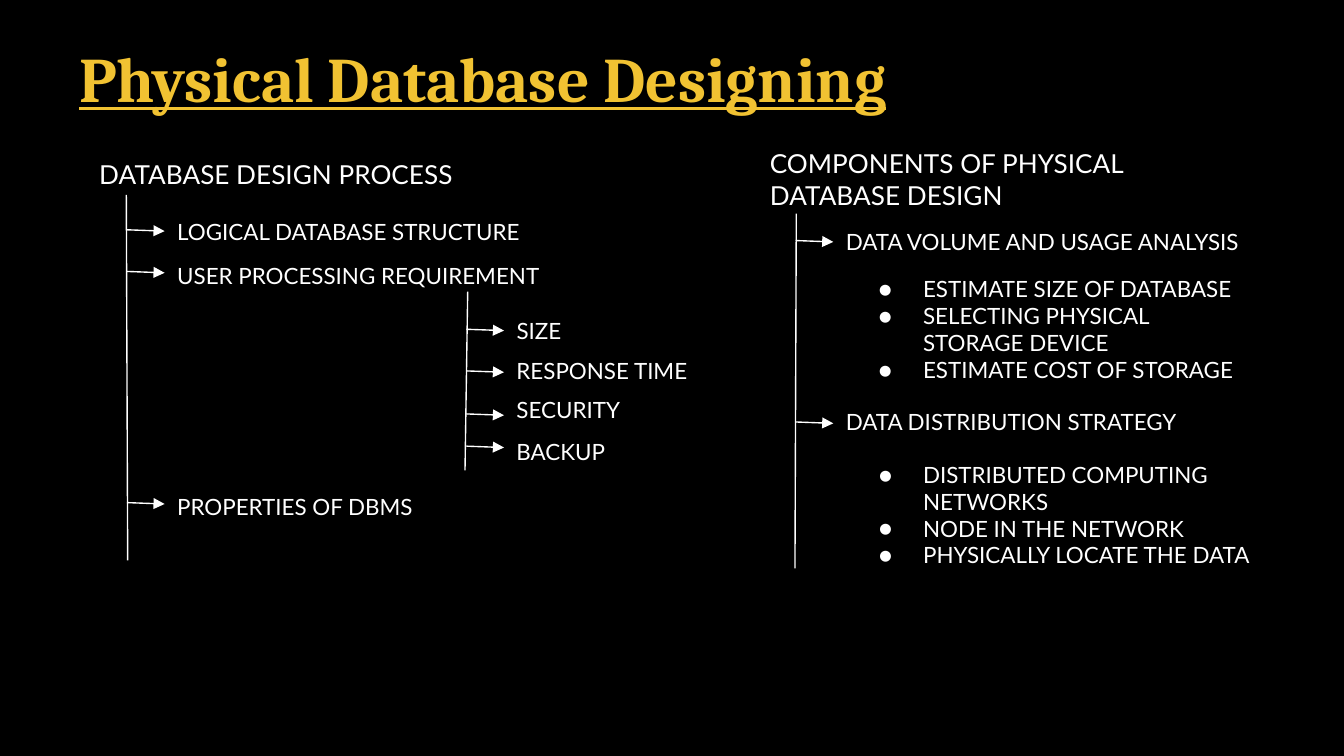
import pptx
import pptx.dml.color
import pptx.enum.shapes
import pptx.enum.text
import pptx.oxml
import pptx.oxml.ns
import pptx.util

BLACK = pptx.dml.color.RGBColor(0x00, 0x00, 0x00)
WHITE = pptx.dml.color.RGBColor(0xFF, 0xFF, 0xFF)
GOLD = pptx.dml.color.RGBColor(0xF1, 0xC2, 0x32)

# A 16:9 slide on a grid of square cells
COLUMNS, ROWS = 100, 56.25
SLIDE_WIDTH = pptx.util.Inches(10)
SLIDE_HEIGHT = SLIDE_WIDTH * 9 // 16

TITLE_FONT = {"name": "Cambria", "size": pptx.util.Pt(34), "bold": True, "underline": True}
HEADING_FONT = {"name": "Lato", "size": pptx.util.Pt(14)}
LABEL_FONT = {"name": "Lato", "size": pptx.util.Pt(12)}

ARROW_LENGTH, ARROW_DROP = 2.8, 0.1
LABEL_OFFSET = 2.75  # columns from a trunk to its labels

# Heading: text, column, row
HEADINGS = [
    ("DATABASE DESIGN PROCESS", 6.4, 10.8),
    ("COMPONENTS OF PHYSICAL DATABASE DESIGN", 56.3, 10),
]

# Trunk: top column and row, bottom column and row
# Item: text, arrow row, label row, label columns, label rows
BRANCHES = [
    ((9.4, 14.5, 9.5, 41.7), [
        ("LOGICAL DATABASE STRUCTURE", 17.1, 15.2, 31.9, 5.1),
        ("USER PROCESSING REQUIREMENT", 20.2, 18.5, 33.8, 5.1),
        ("PROPERTIES OF DBMS", 37.4, 35.7, 22.6, 5.1),
    ]),
    ((34.8, 21.7, 34.6, 35), [
        ("SIZE", 24.5, 22.6, 31.9, 5.1),
        ("RESPONSE TIME", 27.6, 25.6, 16.6, 3.1),
        ("SECURITY", 30.8, 28.5, 10.3, 3.1),
        ("BACKUP", 33.2, 31.6, 9.4, 3.1),
    ]),
    ((59.25, 15.9, 59.15, 42.3), [
        ("DATA VOLUME AND USAGE ANALYSIS", 17.9, 16, 31.9, 5.1),
        ("DATA DISTRIBUTION STRATEGY", 31.4, 29.4, 33.8, 5.1),
    ]),
]

# Bullet list: column, row, columns, rows, texts
BULLET_LISTS = [
    (62.7, 19.5, 30.4, 10.1, [
        "ESTIMATE SIZE OF DATABASE",
        "SELECTING PHYSICAL STORAGE DEVICE",
        "ESTIMATE COST OF STORAGE",
    ]),
    (62.7, 33.3, 33.1, 10.1, [
        "DISTRIBUTED COMPUTING NETWORKS",
        "NODE IN THE NETWORK",
        "PHYSICALLY LOCATE THE DATA",
    ]),
]


def grid_x(columns):
    return round(SLIDE_WIDTH * columns / COLUMNS)


def grid_y(rows):
    return round(SLIDE_HEIGHT * rows / ROWS)


def append_element(parent, tag, **attributes):
    element = parent.makeelement(pptx.oxml.ns.qn(tag), attributes)
    parent.append(element)
    return element


def format_text(shape, texts, font, color):
    frame = shape.text_frame
    frame.text = "\n".join(texts)
    margin = pptx.util.Inches(0.1)
    frame_format = {
        "word_wrap": True,
        "auto_size": pptx.enum.text.MSO_AUTO_SIZE.NONE,
        "vertical_anchor": pptx.enum.text.MSO_ANCHOR.TOP,
        "margin_left": margin, "margin_right": margin,
        "margin_top": margin, "margin_bottom": margin,
    }
    for name, value in frame_format.items():
        setattr(frame, name, value)
    for paragraph in frame.paragraphs:
        paragraph.alignment = pptx.enum.text.PP_ALIGN.LEFT
        run_font = paragraph.runs[0].font
        for name, value in font.items():
            setattr(run_font, name, value)
        run_font.color.rgb = color


def add_title(slide, text):
    title = slide.shapes.title
    title.left, title.top = grid_x(4.9), grid_y(1.9)
    title.width, title.height = grid_x(78.9), grid_y(8.4)
    format_text(title, [text], TITLE_FONT, GOLD)


def add_text(slide, column, row, columns, rows, texts, font):
    box = slide.shapes.add_textbox(grid_x(column), grid_y(row), grid_x(columns), grid_y(rows))
    format_text(box, texts, font, WHITE)
    return box


def add_bullet_list(slide, column, row, columns, rows, texts):
    box = add_text(slide, column, row, columns, rows, texts, LABEL_FONT)
    for paragraph in box.text_frame.paragraphs:
        properties = paragraph._p.get_or_add_pPr()
        properties.set("marL", str(pptx.util.Inches(0.5)))
        properties.set("indent", str(pptx.util.Inches(-0.33)))
        bullet_color = append_element(properties, "a:buClr")
        append_element(bullet_color, "a:srgbClr", val=str(WHITE))
        append_element(properties, "a:buSzPts", val="1200")
        append_element(properties, "a:buFont", typeface="Lato")
        append_element(properties, "a:buChar", char="●")


def add_line(slide, start_column, start_row, end_column, end_row, arrow=False):
    line = slide.shapes.add_connector(
        pptx.enum.shapes.MSO_CONNECTOR.STRAIGHT,
        grid_x(start_column), grid_y(start_row), grid_x(end_column), grid_y(end_row))
    line.line.color.rgb = WHITE
    line.line.width = pptx.util.Pt(0.75)
    if arrow:
        append_element(line.line._get_or_add_ln(), "a:tailEnd", type="triangle")
    append_element(line._element.spPr, "a:effectLst")


def add_branch(slide, trunk, items):
    """Draw a trunk line with one arrow and one label per item."""
    add_line(slide, *trunk)
    column = (trunk[0] + trunk[2]) / 2
    for text, arrow_row, label_row, columns, rows in items:
        add_line(slide, column, arrow_row, column + ARROW_LENGTH, arrow_row + ARROW_DROP, True)
        add_text(slide, column + LABEL_OFFSET, label_row, columns, rows, [text], LABEL_FONT)


def main():
    presentation = pptx.Presentation()
    presentation.slide_width = SLIDE_WIDTH
    presentation.slide_height = SLIDE_HEIGHT
    slide = presentation.slides.add_slide(presentation.slide_layouts[5])
    slide.background.fill.solid()
    slide.background.fill.fore_color.rgb = BLACK

    add_title(slide, "Physical Database Designing")
    for text, column, row in HEADINGS:
        add_text(slide, column, row, 28.4, 5.1, [text], HEADING_FONT)
    for trunk, items in BRANCHES:
        add_branch(slide, trunk, items)
    for bullet_list in BULLET_LISTS:
        add_bullet_list(slide, *bullet_list)
    presentation.save("out.pptx")


if __name__ == "__main__":
    main()
